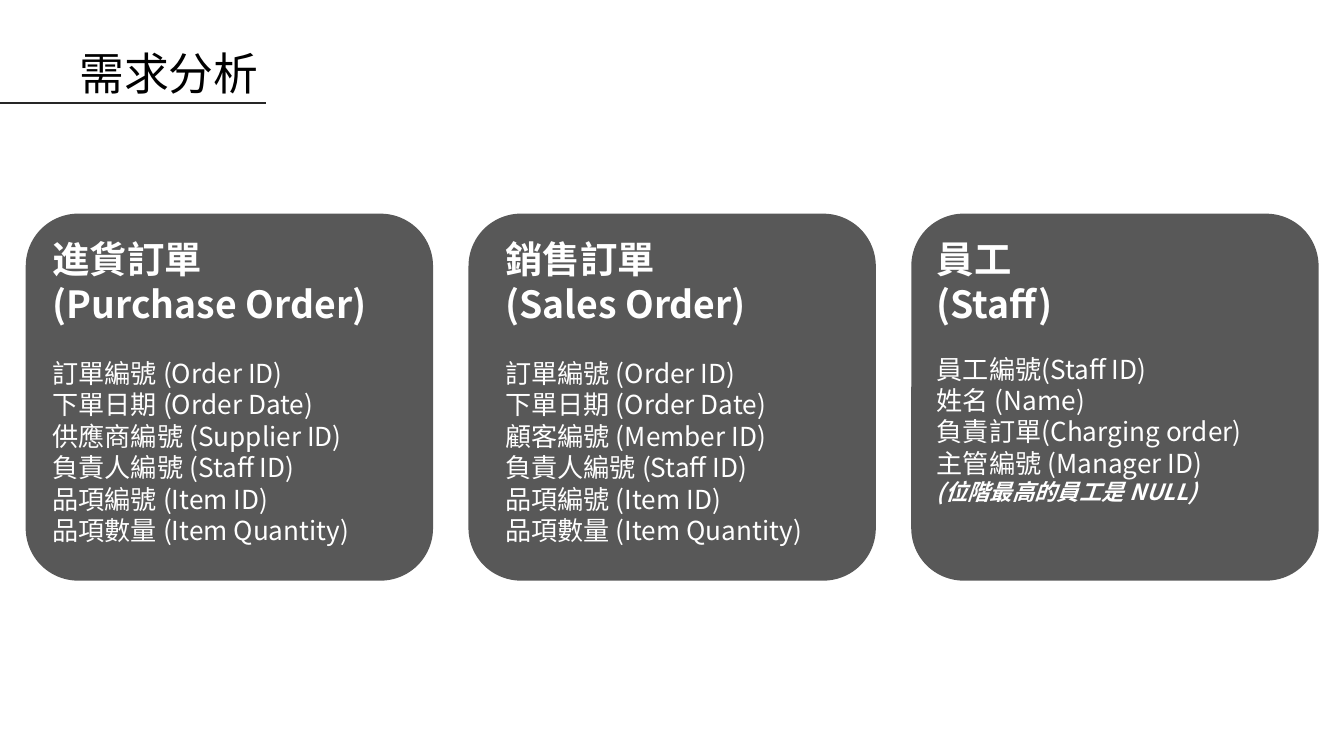
import pptx
import pptx.dml.color
import pptx.enum.shapes
import pptx.enum.text
import pptx.oxml
import pptx.util

Pt = pptx.util.Pt
FONT = "Noto Sans CJK SC"
WHITE = "FFFFFF"
NOTE_PREFIX = "(位階"

ENTITIES = [
    (7.2, 16.8, ["進貨訂單", "(Purchase Order)"],
     ["訂單編號 (Order ID)", "下單日期 (Order Date)", "供應商編號 (Supplier ID)",
      "負責人編號 (Staff ID)", "品項編號 (Item ID)", "品項數量 (Item Quantity)"]),
    (12.6, 16.8, ["銷售訂單", "(Sales Order)"],
     ["訂單編號 (Order ID)", "下單日期 (Order Date)", "顧客編號 (Member ID)",
      "負責人編號 (Staff ID)", "品項編號 (Item ID)", "品項數量 (Item Quantity)"]),
    (6.5, 14.4, ["員工", "(Staff)"],
     ["員工編號(Staff ID)", "姓名 (Name)", "負責訂單(Charging order)",
      "主管編號 (Manager ID)", "(位階最高的員工是 NULL)"]),
]


def rgb(value):
    """Turn a hex string into a colour."""
    return pptx.dml.color.RGBColor.from_string(value)


def style(paragraph, size, color, bold=False, italic=False):
    """Format the runs and line height of a left-aligned paragraph."""
    paragraph.alignment = pptx.enum.text.PP_ALIGN.LEFT
    paragraph.line_spacing = Pt(size * 1.2)
    for run in paragraph.runs:
        font = run.font
        font.name, font.size, font.bold, font.italic = FONT, Pt(size), bold, italic
        font.color.rgb = rgb(color)
        properties = font._element
        east_asian = pptx.oxml.parse_xml(
            '<a:ea xmlns:a="http://schemas.openxmlformats.org/drawingml/2006/main" '
            f'typeface="{FONT}"/>')
        properties.append(east_asian)


def add_heading(slide, left, top, width, height):
    """Place the slide title and the rule beneath it."""
    title = slide.shapes.title
    title.left, title.top, title.width, title.height = map(Pt, (left, top, width, height))
    frame = title.text_frame
    frame.text = "需求分析"
    frame.vertical_anchor = pptx.enum.text.MSO_ANCHOR.BOTTOM
    frame.margin_left = frame.margin_right = Pt(7.2)
    frame.margin_top = frame.margin_bottom = Pt(7.2)
    style(frame.paragraphs[0], 24, "000000")

    rule_y = Pt(top + height - 5)
    rule = slide.shapes.add_connector(
        pptx.enum.shapes.MSO_CONNECTOR.STRAIGHT,
        Pt(left - 51.8), rule_y, Pt(left + width - 4.4), rule_y)
    rule.line.color.rgb = rgb("262626")
    rule.line.width = Pt(1)
    rule._element.spPr.append(pptx.oxml.parse_xml(
        '<a:effectLst xmlns:a="http://schemas.openxmlformats.org/drawingml/2006/main"/>'))


def add_entity(slide, left, top, width, height, entity):
    """Place one entity card with its name and attributes."""
    indent, gap, names, attributes = entity
    card = slide.shapes.add_shape(
        pptx.enum.shapes.MSO_SHAPE.ROUNDED_RECTANGLE,
        Pt(left), Pt(top), Pt(width), Pt(height))
    card.adjustments[0] = 0.143
    card.shadow.inherit = False
    card.fill.solid()
    card.fill.fore_color.rgb = rgb("585858")
    card.line.fill.background()

    details = slide.shapes.add_textbox(
        Pt(left + indent), Pt(top + 8.6), Pt(193.7),
        Pt(7.2 + 48 + gap + 16.8 * len(attributes)))
    frame = details.text_frame
    frame.word_wrap = True
    frame.text = "\n".join(names + attributes)
    for index, paragraph in enumerate(frame.paragraphs):
        is_note = paragraph.text.startswith(NOTE_PREFIX)
        if index < len(names):
            style(paragraph, 20, WHITE, bold=True)
        else:
            style(paragraph, 12 if is_note else 14, WHITE, is_note, is_note)
    frame.paragraphs[len(names)].space_before = Pt(gap)


def main():
    """Build the requirements slide."""
    deck = pptx.Presentation()
    deck.slide_width, deck.slide_height = Pt(720), Pt(405)
    slide = deck.slides.add_slide(deck.slide_layouts[5])
    add_heading(slide, 35.3, 12.2, 111.6, 48.2)
    for column, entity in enumerate(ENTITIES):
        add_entity(slide, 13.8 + 237.2 * column, 114.5, 218.2, 196.6, entity)
    deck.save("out.pptx")


if __name__ == "__main__":
    main()
